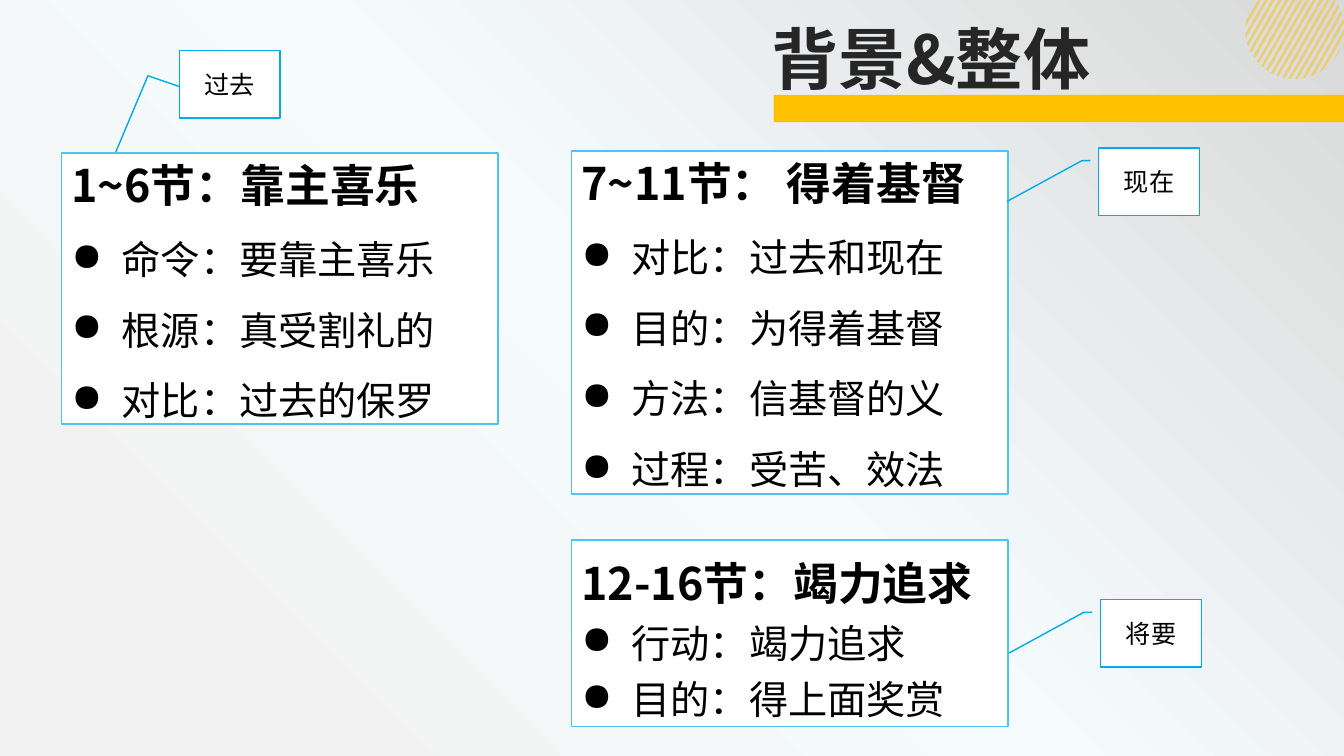
from math import sqrt

from lxml.etree import SubElement
from pptx import Presentation
from pptx.dml.color import RGBColor
from pptx.enum.shapes import MSO_SHAPE
from pptx.enum.text import MSO_ANCHOR, PP_ALIGN
from pptx.oxml import parse_xml
from pptx.oxml.ns import nsdecls, qn
from pptx.util import Cm, Pt

FONT = "Noto Sans CJK SC"
AMBER = RGBColor(0xFF, 0xC0, 0x00)
WHITE = RGBColor(0xFF, 0xFF, 0xFF)
BLACK = RGBColor(0x00, 0x00, 0x00)
CHARCOAL = RGBColor(0x26, 0x26, 0x26)
PANEL_BLUE = RGBColor(0x4C, 0xC5, 0xF0)
CALLOUT_BLUE = RGBColor(0x00, 0xAB, 0xE9)

BACKGROUND = f"""<p:bg {nsdecls("p", "a")}><p:bgPr>
<a:gradFill rotWithShape="1"><a:gsLst>
<a:gs pos="15000"><a:srgbClr val="F2F2F2"/></a:gs>
<a:gs pos="50000"><a:srgbClr val="F6FCFE"><a:alpha val="27000"/></a:srgbClr></a:gs>
<a:gs pos="100000"><a:srgbClr val="D9D9D9"/></a:gs>
</a:gsLst><a:path path="circle"><a:fillToRect t="100000" r="100000"/></a:path>
</a:gradFill><a:effectLst/></p:bgPr></p:bg>"""

# Left, top, height, heading line spacing, item line spacing, heading, items
PANELS = [
    (14.4, 3.81, 8.64, 1.0, 1.5, "7~11节： 得着基督",
     ["对比：过去和现在", "目的：为得着基督", "方法：信基督的义", "过程：受苦、效法"]),
    (1.55, 3.86, 6.83, 1.0, 1.5, "1~6节：靠主喜乐",
     ["命令：要靠主喜乐", "根源：真受割礼的", "对比：过去的保罗"]),
    (14.4, 13.61, 4.7, 1.2, 1.2, "12-16节：竭力追求",
     ["行动：竭力追求", "目的：得上面奖赏"]),
]
# Leader points as fractions of the callout: y, x for each point
LEADER_UP_LEFT = (0.54, 0.008, 0.377, -0.312, 1.505, -0.63)
LEADER_DOWN_LEFT = (0.188, -0.083, 0.188, -0.167, 0.793, -0.911)
CALLOUTS = [
    (4.52, 1.27, "过去", LEADER_UP_LEFT),
    (27.69, 3.73, "现在", LEADER_DOWN_LEFT),
    (27.74, 15.11, "将要", LEADER_DOWN_LEFT),
]


class SlideBuilder:
    def __init__(self, slide):
        self.slide = slide

    def background(self):
        self.slide.element.cSld.insert(0, parse_xml(BACKGROUND))

    def paint(self, shape, fill, line=None):
        shape.shadow.inherit = False
        shape.fill.solid()
        shape.fill.fore_color.rgb = fill
        if line is None:
            shape.line.fill.background()
        else:
            shape.line.color.rgb = line
            shape.line.width = Pt(1)

    def box(self, kind, left, top, width, height, fill, line=None):
        shape = self.slide.shapes.add_shape(
            kind, Cm(left), Cm(top), Cm(width), Cm(height))
        self.paint(shape, fill, line)
        return shape

    def style(self, paragraph, size, color=BLACK, bold=False,
              align=PP_ALIGN.LEFT, spacing=1.0):
        paragraph.alignment = align
        paragraph.line_spacing = spacing
        for run in paragraph.runs:
            run.font.size = Pt(size)
            run.font.bold = bold
            run.font.color.rgb = color
            run.font.name = FONT
            SubElement(run.font._element, qn("a:ea")).set("typeface", FONT)

    def bullet(self, paragraph):
        properties = paragraph._p.get_or_add_pPr()
        properties.set("marL", str(Cm(1.27)))
        properties.set("indent", str(-Cm(1.27)))
        SubElement(properties, qn("a:buChar")).set("char", "●")

    def striped_disc(self, center_x, center_y, radius):
        """Stripes at 60 degrees, clipped by a circle and the slide's top edge."""
        cosine, sine = 0.5, sqrt(3) / 2
        first, pitch, thickness, count = -1.17, 0.15, 0.06, 17

        def edge(offset):
            offset = min(offset, radius)
            half = sqrt(radius ** 2 - offset ** 2)
            slide_top = -(center_y + cosine * offset) / sine
            return [(Cm(center_x + sine * offset - cosine * along),
                     Cm(center_y + cosine * offset + sine * along))
                    for along in (max(-half, slide_top), half)]

        for index in range(count):
            offset = first + index * pitch
            start, bottom = edge(offset)
            right_top, right_bottom = edge(offset + thickness)
            freeform = self.slide.shapes.build_freeform(*start)
            freeform.add_line_segments([bottom, right_bottom, right_top])
            stripe = freeform.convert_to_shape()
            self.paint(stripe, AMBER)
            color = stripe.fill._xPr.find(".//" + qn("a:srgbClr"))
            SubElement(color, qn("a:alpha")).set("val", "50000")

    def title(self, text):
        text_frame = self.slide.shapes.add_textbox(
            Cm(19.2), Cm(0.3), Cm(14.66), Cm(2.31)).text_frame
        text_frame.word_wrap = True
        text_frame.text = text
        self.style(text_frame.paragraphs[0], 48, CHARCOAL, bold=True)

    def panel(self, left, top, height, heading_spacing, item_spacing, heading, items):
        shape = self.box(MSO_SHAPE.RECTANGLE, left, top, 11, height, WHITE, PANEL_BLUE)
        text_frame = shape.text_frame
        text_frame.word_wrap = True
        text_frame.vertical_anchor = MSO_ANCHOR.TOP
        text_frame.text = "\n".join([heading, *items])
        first, *rest = text_frame.paragraphs
        self.style(first, 32, bold=True, spacing=heading_spacing)
        for paragraph in rest:
            self.bullet(paragraph)
            self.style(paragraph, 28, spacing=item_spacing)

    def callout(self, left, top, text, leader):
        shape = self.box(MSO_SHAPE.LINE_CALLOUT_2, left, top, 2.54, 1.7,
                         WHITE, CALLOUT_BLUE)
        for index, value in enumerate(leader):
            shape.adjustments[index] = value
        shape.text_frame.text = text
        shape.text_frame.vertical_anchor = MSO_ANCHOR.MIDDLE
        self.style(shape.text_frame.paragraphs[0], 18, align=PP_ALIGN.CENTER)


def main():
    presentation = Presentation()
    presentation.slide_width, presentation.slide_height = Cm(33.87), Cm(19.05)
    builder = SlideBuilder(presentation.slides.add_slide(presentation.slide_layouts[6]))

    # Backdrop and title
    builder.background()
    builder.striped_disc(32.63, 0.74, 1.25)
    builder.box(MSO_SHAPE.RECTANGLE, 19.5, 2.39, 14.37, 0.69, AMBER)
    builder.title("背景&整体")

    # Passage panels and their time callouts
    for panel in PANELS:
        builder.panel(*panel)
    for callout in CALLOUTS:
        builder.callout(*callout)

    presentation.save("out.pptx")


if __name__ == "__main__":
    main()
